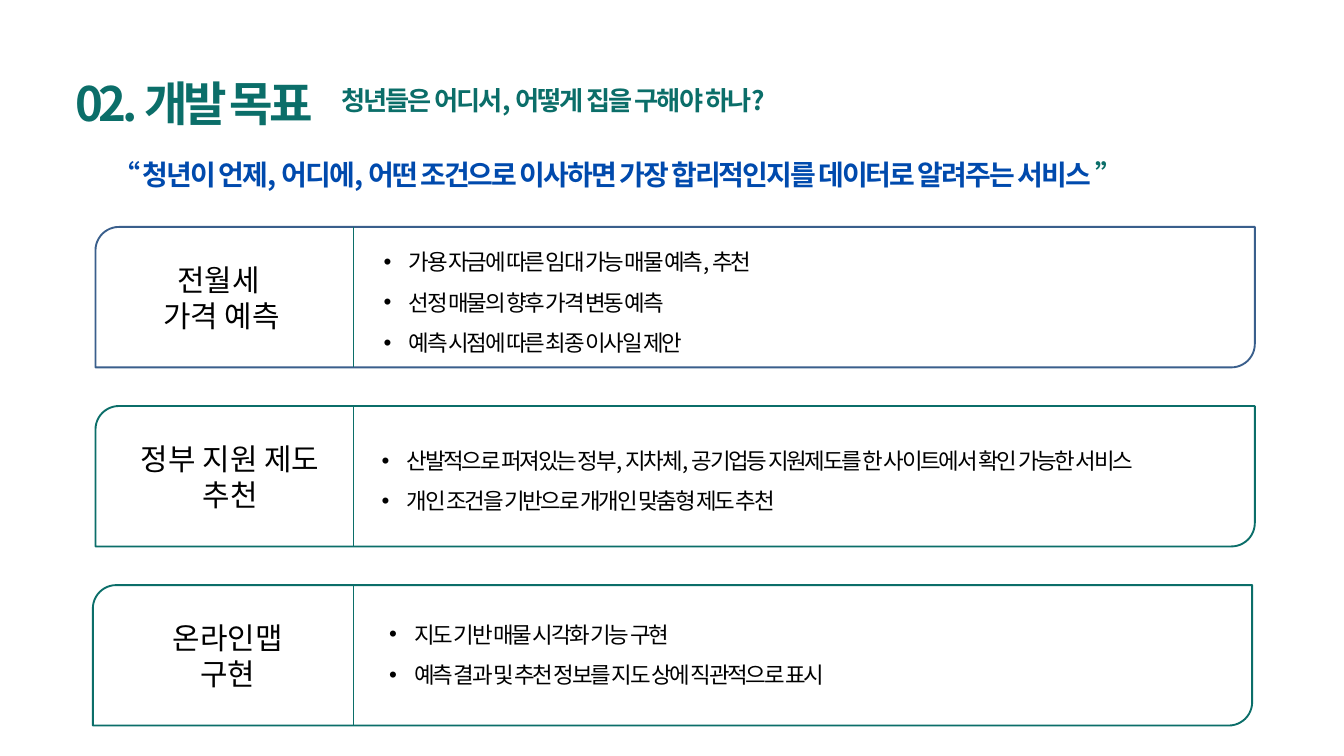
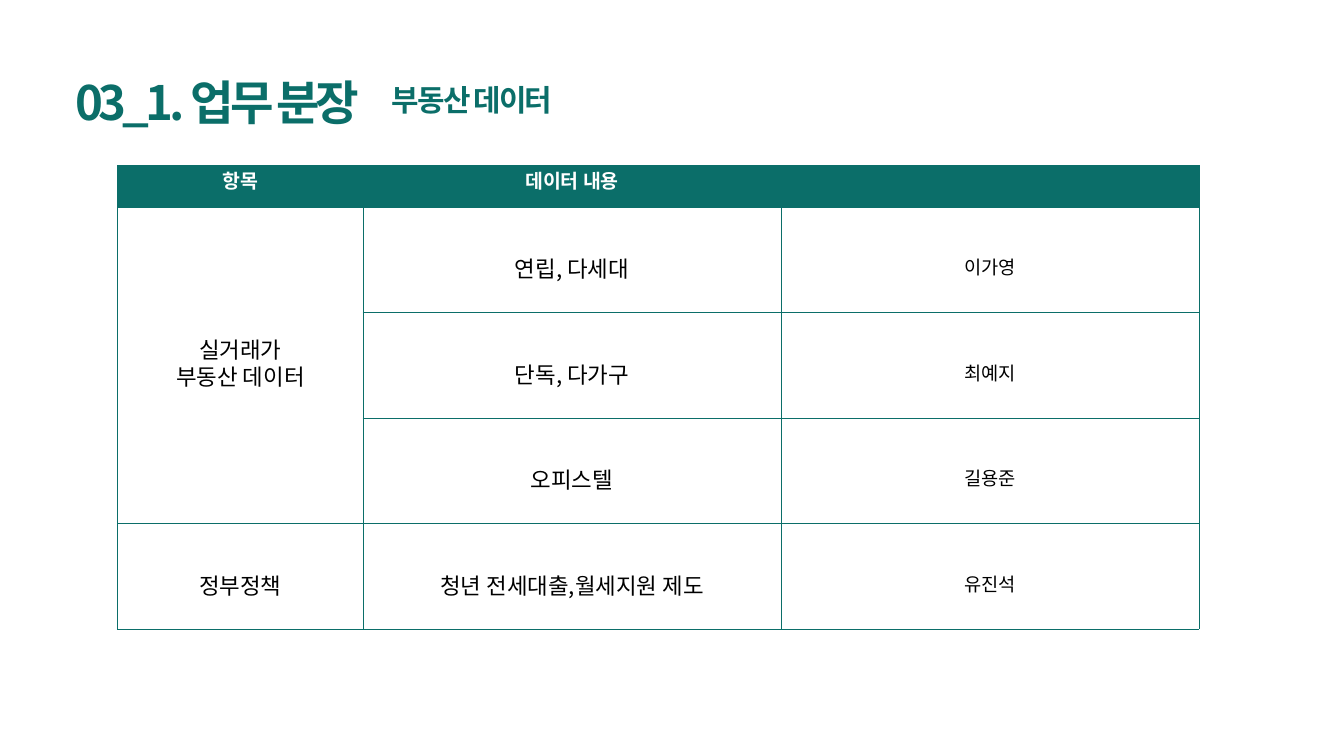
"""Build two slides: the goals of a housing service and the split of its data work."""
from dataclasses import dataclass

from lxml.etree import SubElement
from pptx import Presentation
from pptx.dml.color import RGBColor
from pptx.enum.shapes import MSO_CONNECTOR, MSO_SHAPE
from pptx.enum.text import MSO_ANCHOR, MSO_AUTO_SIZE, PP_ALIGN
from pptx.oxml import parse_xml
from pptx.oxml.ns import nsdecls, qn
from pptx.util import Cm, Pt


@dataclass(frozen=True)
class Theme:
    font: str = "Noto Sans CJK KR"
    green: str = "0B6E69"
    blue: str = "004AAD"
    navy: str = "3A5F8C"
    white: str = "FFFFFF"
    black: str = "000000"
    title: float = 50.7
    label: float = 32
    quote: float = 30
    body: float = 24
    head: float = 20.8
    name: float = 20
    edge: float = 2
    rule: float = 0.75


T = Theme()

GOALS = {
    "title": "02. 개발 목표", "box": (2.84, 2.97, 11.33, 2),
    "sub": "청년들은 어디서, 어떻게 집을 구해야 하나?",
    "sub_box": (12.9, 3.28, 25.76, 1.1), "sub_size": 28.1,
}
QUOTE = [[("“ 청년이 언제, 어디에, 어떤 조건으로 이사하면 가장 합리적인지를 데이터로 알려주는 서비스 ", T.blue),
          ("”", T.green)]]
CARDS = [
    {"label": ["전월세 ", "가격 예측"], "mid": 8.38, "wide": 7,
     "left": 3.61, "rule": 13.34, "edge": T.navy, "list_box": (14.25, 8.76, 18.9, 4.62),
     "points": ["가용 자금에 따른 임대 가능 매물 예측, 추천",
                "선정 매물의 향후 가격 변동 예측",
                "예측 시점에 따른 최종 이사일 제안"]},
    {"label": ["정부 지원 제도", "추천"], "mid": 8.7, "wide": 9.3,
     "left": 3.61, "rule": 13.34, "edge": T.green, "list_box": (14.17, 16.26, 36.53, 3.1),
     "points": ["산발적으로 퍼져있는 정부, 지차체, 공기업등 지원제도를 한 사이트에서 확인 가능한 서비스",
                "개인 조건을 기반으로 개개인 맞춤형 제도 추천"]},
    {"label": ["온라인맵 구현"], "mid": 8.62, "wide": 7.24,
     "left": 3.51, "rule": 13.36, "edge": T.green, "list_box": (14.45, 22.83, 22.66, 3.1),
     "points": ["지도 기반 매물 시각화 기능 구현",
                "예측 결과 및 추천 정보를 지도 상에 직관적으로 표시"]},
]
TOP, STEP, WIDE, HIGH, LABEL_HIGH = 8.58, 6.77, 43.82, 5.31, 3.8

WORK = {
    "title": "03_1. 업무 분장", "box": (2.84, 2.92, 11.73, 2),
    "sub": "부동산 데이터",
    "sub_box": (14.81, 3.33, 23.06, 2.26), "sub_size": 32,
}
ROWS = [
    (["항목"], ["데이터 내용"], []),
    (["실거래가", "부동산 데이터"], ["연립, 다세대"], ["이가영"]),
    ([], ["단독, 다가구"], ["최예지"]),
    ([], ["오피스텔"], ["길용준"]),
    (["정부정책"], ["청년 전세대출,월세지원 제도"], ["유진석"]),
]
COLS = (9.27, 15.8, 15.8)
HEAD_HIGH, ROW_HIGH = 1.57, 3.99


def tint(code):
    return RGBColor.from_string(code)


def place(shape, box):
    shape.left, shape.top, shape.width, shape.height = map(Cm, box)
    return shape


def write(frame, lines, size=T.body, color=T.black, bold=False, track=0, align=PP_ALIGN.LEFT,
          space=None, bullet=False, pad=None, anchor=MSO_ANCHOR.TOP):
    frame.word_wrap = True
    frame.auto_size = MSO_AUTO_SIZE.NONE
    frame.vertical_anchor = anchor
    if pad is not None:
        frame.margin_left = frame.margin_right = frame.margin_top = frame.margin_bottom = Cm(pad)
    fill_text(frame, lines, size, color, bold, track, align, space, bullet)


def fill_text(frame, lines, size, color, bold, track, align, space, bullet):
    for i, line in enumerate(lines):
        para = frame.paragraphs[0] if i == 0 else frame.add_paragraph()
        para.alignment, para.line_spacing = align, space
        para.space_before = para.space_after = Pt(0)
        props = para._p.get_or_add_pPr()
        dent = Cm(0.95) if bullet else 0
        props.set("marL", str(dent))
        props.set("indent", str(-dent))
        if bullet:
            SubElement(props, qn("a:buFont")).set("typeface", "Arial")
            SubElement(props, qn("a:buChar")).set("char", "•")
        else:
            SubElement(props, qn("a:buNone"))
        for text, hue in [(line, color)] if isinstance(line, str) else line:
            run = para.add_run()
            run.text = text
            run.font.size, run.font.bold = Pt(size), bold
            run.font.color.rgb = tint(hue)
            run.font.name = T.font
            mark = run._r.get_or_add_rPr()
            SubElement(mark, qn("a:ea")).set("typeface", T.font)
            mark.set("spc", str(round(track * 100)))


def add_page(deck, layout, page):
    slide = deck.slides.add_slide(deck.slide_layouts.get_by_name(layout))
    title = place(slide.shapes.title, page["box"])
    write(title.text_frame, [page["title"]], size=T.title, color=T.green, bold=True,
          track=-4.5, space=Pt(56.3), pad=0)
    sub = slide.shapes.add_textbox(*map(Cm, page["sub_box"]))
    write(sub.text_frame, [page["sub"]], size=page["sub_size"], color=T.green, bold=True,
          track=-2, space=Pt(31.2), pad=0)
    return slide


def add_box(slide, kind, box, fill=None, edge=None):
    shape = slide.shapes.add_shape(kind, *map(Cm, box))
    shape.shadow.inherit = False
    if fill:
        shape.fill.solid()
        shape.fill.fore_color.rgb = tint(fill)
    else:
        shape.fill.background()
    if edge:
        shape.line.color.rgb = tint(edge)
        shape.line.width = Pt(T.edge)
    else:
        shape.line.fill.background()
    return shape


def add_rule(slide, x, top, end):
    rule = slide.shapes.add_connector(MSO_CONNECTOR.STRAIGHT, Cm(x), Cm(top), Cm(x), Cm(end))
    rule.line.color.rgb = tint(T.green)
    rule.line.width = Pt(T.rule)
    SubElement(rule._element.spPr, qn("a:effectLst"))


def add_card(slide, card, top, holder):
    label = add_box(slide, MSO_SHAPE.ROUNDED_RECTANGLE,
                    (card["mid"] - card["wide"] / 2, top + (HIGH - LABEL_HIGH) / 2,
                     card["wide"], LABEL_HIGH), fill=T.white)
    write(label.text_frame, card["label"], size=T.label, align=PP_ALIGN.CENTER,
          anchor=MSO_ANCHOR.MIDDLE)
    place(holder, card["list_box"])
    write(holder.text_frame, card["points"], track=-2.4, space=1.5, bullet=True)
    add_box(slide, MSO_SHAPE.ROUND_2_DIAG_RECTANGLE, (card["left"], top, WIDE, HIGH),
            edge=card["edge"])
    add_rule(slide, card["rule"], top, top + HIGH)


def add_goals(deck):
    slide = add_page(deck, "Comparison", GOALS)
    quote, *lists = [p for p in slide.placeholders if p.placeholder_format.idx in range(1, 5)]
    place(quote, (4.24, 6.05, 42.55, 1.17))
    write(quote.text_frame, QUOTE, size=T.quote, bold=True, track=-2.1, space=Pt(33.3), pad=0)
    for i, (card, holder) in enumerate(zip(CARDS, lists)):
        add_card(slide, card, TOP + i * STEP, holder)


def frame_cell(cell):
    props = cell._tc.get_or_add_tcPr()
    for i, side in enumerate("LRTB"):
        props.insert(i, parse_xml(
            f'<a:ln{side} {nsdecls("a")} w="{Pt(T.rule)}"><a:solidFill>'
            f'<a:srgbClr val="{T.green}"/></a:solidFill></a:ln{side}>'))


def set_cell(cell, lines, head, col):
    cell.fill.solid()
    cell.fill.fore_color.rgb = tint(T.green if head else T.white)
    frame_cell(cell)
    cell.vertical_anchor = MSO_ANCHOR.MIDDLE
    cell.margin_left = cell.margin_right = cell.margin_top = cell.margin_bottom = Cm(0.03)
    size = T.head if head else T.name if col == 2 else T.body
    space = Pt(16.8) if head else Pt(29.2) if len(lines) > 1 else 1.5
    fill_text(cell.text_frame, lines, size, T.white if head else T.black, head, 0,
              PP_ALIGN.CENTER, space, False)


def add_work(deck):
    slide = add_page(deck, "Title Only", WORK)
    highs = [HEAD_HIGH] + [ROW_HIGH] * (len(ROWS) - 1)
    table = slide.shapes.add_table(len(ROWS), len(COLS), Cm(4.45), Cm(6.25),
                                   Cm(sum(COLS)), Cm(sum(highs))).table
    for col, wide in zip(table.columns, COLS):
        col.width = Cm(wide)
    for row, high in zip(table.rows, highs):
        row.height = Cm(high)
    for r, row in enumerate(ROWS):
        for c, lines in enumerate(row):
            set_cell(table.cell(r, c), lines, r == 0, c)
    table.cell(1, 0).merge(table.cell(3, 0))


def main():
    deck = Presentation()
    deck.slide_width, deck.slide_height = Cm(50.8), Cm(28.58)
    add_goals(deck)
    add_work(deck)
    deck.save("out.pptx")


if __name__ == "__main__":
    main()
